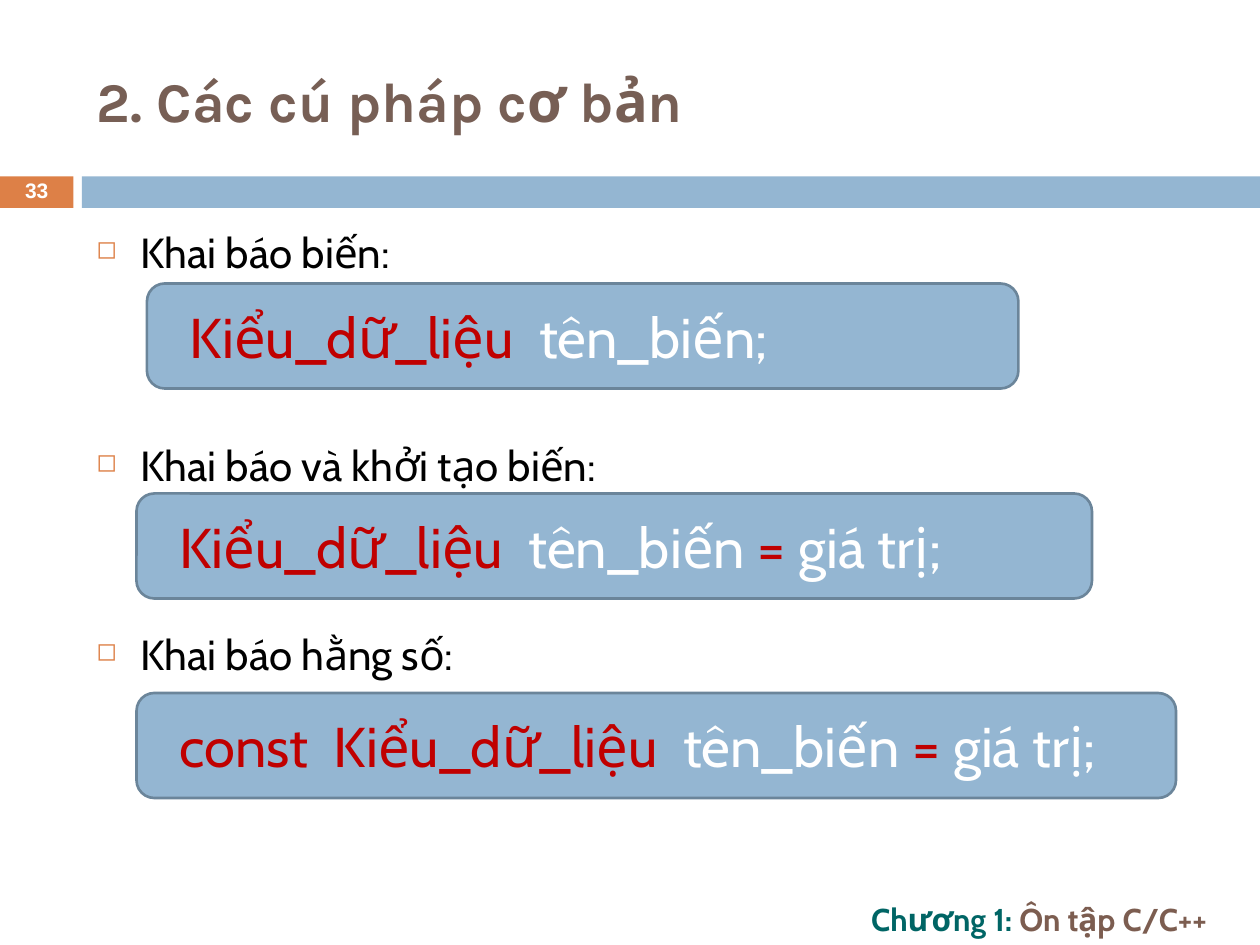
from lxml.etree import SubElement
from pptx import Presentation
from pptx.dml.color import RGBColor
from pptx.enum.shapes import MSO_SHAPE
from pptx.enum.text import MSO_ANCHOR, MSO_AUTO_SIZE, PP_ALIGN
from pptx.oxml.ns import qn
from pptx.util import Pt

PX = 7620  # EMU, 120 px to the inch
WIDTH, HEIGHT = 1200, 900

WHITE = RGBColor(0xFF, 0xFF, 0xFF)
BLACK = RGBColor(0x00, 0x00, 0x00)
ORANGE = RGBColor(0xDD, 0x80, 0x47)
BLUE = RGBColor(0x94, 0xB6, 0xD2)
BORDER = RGBColor(0x6B, 0x85, 0x9A)
RED = RGBColor(0xC0, 0x00, 0x00)
TITLE_BROWN = RGBColor(0x77, 0x5F, 0x55)
FOOTER_BROWN = RGBColor(0x7C, 0x5D, 0x50)
TEAL = RGBColor(0x00, 0x65, 0x65)

TYPE = ("Kiểu_dữ_liệu", RED)
INITIALISED = [("  tên_biến ", WHITE), ("=", RED), (" giá trị;", WHITE)]
SYNTAX_BOXES = [
    ((140, 270, 830, 100), [TYPE, ("  tên_biến;", WHITE)]),
    ((130, 470, 910, 100), [TYPE, *INITIALISED]),
    ((130, 660, 990, 100), [("const  Kiểu_dữ_liệu", RED), *INITIALISED]),
]
# Heading and the space before it in points, which leaves room for the boxes
HEADINGS = [
    ("Khai báo biến:", 0),
    ("Khai báo và khởi tạo biến:", 93),
    ("Khai báo hằng số:", 79),
]


def emu(box):
    return [v * PX for v in box]


def format_font(font, name, size, color, bold=False):
    font.name, font.size, font.bold = name, Pt(size), bold
    font.color.rgb = color


def add_runs(p, parts, name, size, bold=False):
    for text, color in parts:
        r = p.add_run()
        r.text = text
        format_font(r.font, name, size, color, bold)


def add_panel(s, kind, box, fill):
    sp = s.shapes.add_shape(kind, *emu(box))
    sp.shadow.inherit = False
    sp.fill.solid()
    sp.fill.fore_color.rgb = fill
    sp.line.fill.background()
    return sp


def add_text_frame(s, box, anchor):
    tf = s.shapes.add_textbox(*emu(box)).text_frame
    tf.word_wrap = True
    tf.vertical_anchor = anchor
    return tf


def add_title(s, box, text):
    sp = s.shapes.title
    sp.left, sp.top, sp.width, sp.height = emu(box)
    tf = sp.text_frame
    tf.text = text
    tf.auto_size = MSO_AUTO_SIZE.NONE
    tf.vertical_anchor = MSO_ANCHOR.MIDDLE
    p = tf.paragraphs[0]
    p.alignment = PP_ALIGN.LEFT
    format_font(p.runs[0].font, "Karla", 32, TITLE_BROWN, True)


def add_band(s, box, number):
    """Draw the orange page-number tab and the blue bar beside it."""
    x, y, w, h = box
    tab, gap = 70, 8
    add_panel(s, MSO_SHAPE.RECTANGLE, (x, y, tab, h), ORANGE)
    add_panel(s, MSO_SHAPE.RECTANGLE,
              (x + tab + gap, y, w - tab - gap, h), BLUE)
    tf = add_text_frame(s, (x, y - 1, tab, h + 2), MSO_ANCHOR.MIDDLE)
    p = tf.paragraphs[0]
    p.alignment = PP_ALIGN.CENTER
    p.line_spacing = 0.8
    add_runs(p, [(number, WHITE)], "Arial", 12, True)


def set_square_bullet(p, indent):
    pPr = p._p.get_or_add_pPr()
    pPr.set("marL", str(indent * PX))
    pPr.set("indent", str(-indent * PX))
    color = SubElement(pPr, qn("a:buClr"))
    SubElement(color, qn("a:srgbClr")).set("val", str(ORANGE))
    SubElement(pPr, qn("a:buSzPct")).set("val", "60000")
    SubElement(pPr, qn("a:buChar")).set("char", "◻")


def add_headings(s, box):
    tf = add_text_frame(s, box, MSO_ANCHOR.TOP)
    for i, (text, space) in enumerate(HEADINGS):
        p = tf.add_paragraph() if i else tf.paragraphs[0]
        p.space_before = Pt(space)
        set_square_bullet(p, 42)
        add_runs(p, [(text, BLACK)], "Cabin", 24)


def add_syntax_box(s, box, parts):
    sp = add_panel(s, MSO_SHAPE.ROUNDED_RECTANGLE, box, BLUE)
    sp.adjustments[0] = 0.17
    sp.line.color.rgb = BORDER
    sp.line.width = Pt(1.5)
    tf = sp.text_frame
    tf.word_wrap = True
    tf.margin_left = 36 * PX
    tf.vertical_anchor = MSO_ANCHOR.MIDDLE
    p = tf.paragraphs[0]
    p.alignment = PP_ALIGN.LEFT
    add_runs(p, parts, "Cabin", 32)


def add_footer(s, box):
    tf = add_text_frame(s, box, MSO_ANCHOR.MIDDLE)
    parts = [("Chương 1: ", TEAL), ("Ôn tập C/C++", FOOTER_BROWN)]
    add_runs(tf.paragraphs[0], parts, "Cabin", 18, True)


def main():
    prs = Presentation()
    prs.slide_width, prs.slide_height = WIDTH * PX, HEIGHT * PX
    s = prs.slides.add_slide(prs.slide_layouts[5])
    add_title(s, (80, 30, 1070, 130), "2. Các cú pháp cơ bản")
    add_band(s, (0, 168, WIDTH, 30), "33")
    add_headings(s, (80, 210, 1070, 660))
    for box, parts in SYNTAX_BOXES:
        add_syntax_box(s, box, parts)
    add_footer(s, (818, 850, 382, 50))
    prs.save("out.pptx")


if __name__ == "__main__":
    main()
